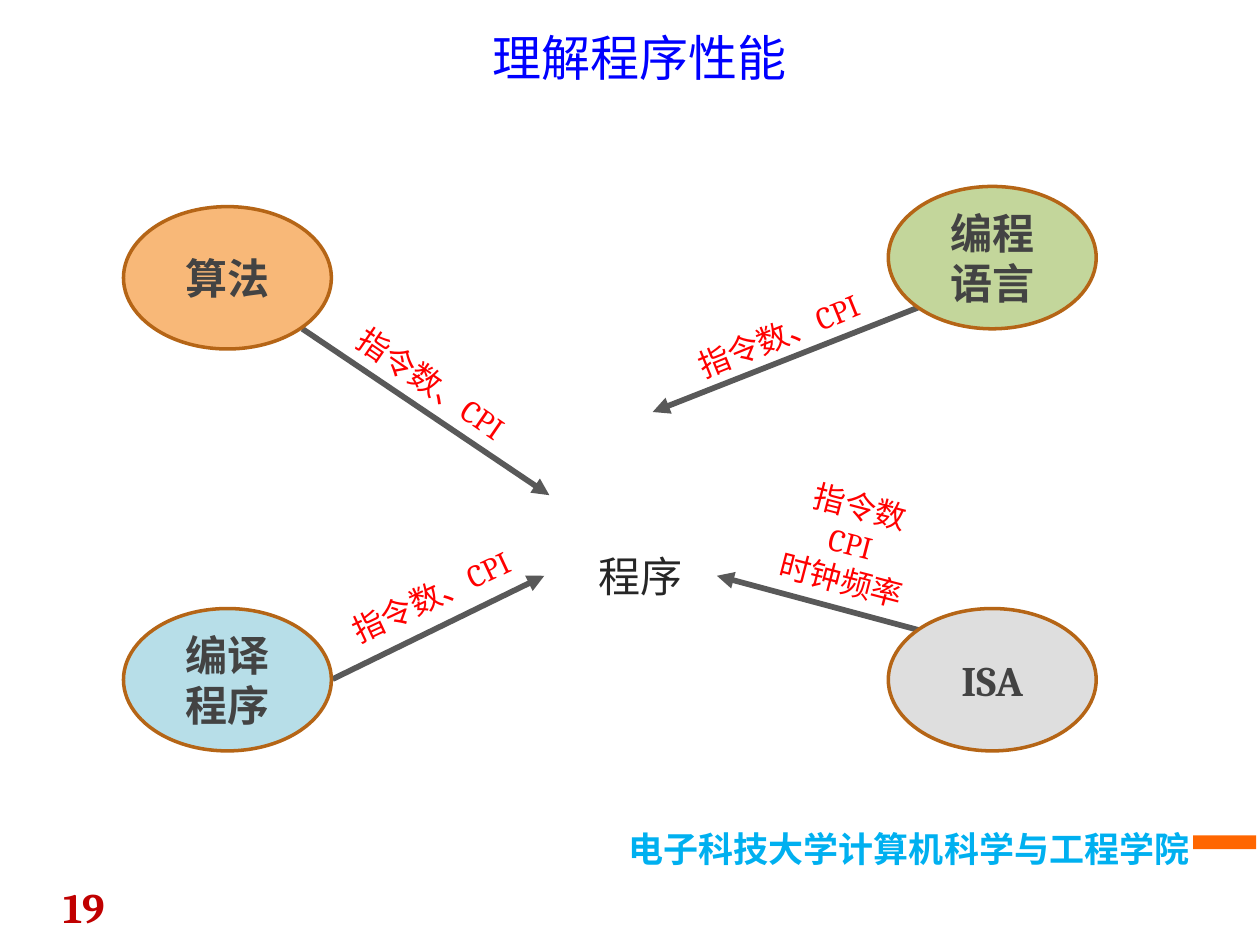
import pptx
import pptx.util
import pptx.dml.color
import pptx.enum.shapes
import pptx.enum.text
import pptx.oxml
import pptx.oxml.ns

Inches, Pt = pptx.util.Inches, pptx.util.Pt
RGBColor = pptx.dml.color.RGBColor
SHAPE = pptx.enum.shapes.MSO_SHAPE
STRAIGHT = pptx.enum.shapes.MSO_CONNECTOR.STRAIGHT
ALIGN = pptx.enum.text.PP_ALIGN
ANCHOR = pptx.enum.text.MSO_ANCHOR
qn = pptx.oxml.ns.qn

BLUE = RGBColor(0x00, 0x00, 0xFF)
SKY = RGBColor(0x00, 0xB0, 0xF0)
RED = RGBColor(0xFF, 0x00, 0x00)
DARK_RED = RGBColor(0xC0, 0x00, 0x00)
INK = RGBColor(0x26, 0x26, 0x26)
NODE_INK = RGBColor(0x43, 0x43, 0x43)
NODE_EDGE = RGBColor(0xB5, 0x65, 0x16)
ARROW = RGBColor(0x59, 0x59, 0x59)
BAR = RGBColor(0xFF, 0x66, 0x00)
ORANGE = RGBColor(0xF8, 0xB8, 0x78)
GREEN = RGBColor(0xC3, 0xD6, 0x9B)
AQUA = RGBColor(0xB7, 0xDE, 0xE8)
GREY = RGBColor(0xDE, 0xDE, 0xDE)
LATIN, CJK = "Cambria", "Noto Sans CJK SC"

# Content: factors around the program, left, top and fill
NODE_W, NODE_H = 1.65, 1.13
LEFT, RIGHT = 0.98, 7.05
NODES = [
    ("算法", LEFT, 1.64, ORANGE),
    ("编程语言", RIGHT, 1.48, GREEN),
    ("编译程序", LEFT, 4.83, AQUA),
    ("ISA", RIGHT, 4.83, GREY),
]
# Arrow start and end
ARROWS = [
    ((2.4, 2.61), (4.36, 3.93)),
    ((7.29, 2.44), (5.18, 3.27)),
    ((2.64, 5.39), (4.32, 4.57)),
    ((7.29, 5), (5.69, 4.57)),
]
# What each factor affects: lines, left, top, height, rotation
LABEL_W = 2.24
LABELS = [
    (["指令数、CPI"], 2.3, 2.84, 0.41, 34.5),
    (["指令数、CPI"], 5.06, 2.46, 0.41, 337.9),
    (["指令数、CPI"], 2.3, 4.53, 0.41, 334.8),
    (["指令数", "CPI", "时钟频率"], 5.63, 3.81, 1.02, 14.7),
]

prs = pptx.Presentation()
prs.slide_width, prs.slide_height = Inches(10), Inches(7.5)
s = prs.slides.add_slide(prs.slide_layouts[6])


def write(sp, lines, size, color, bold=False, font=LATIN, align=ALIGN.CENTER,
          anchor=ANCHOR.TOP, wrap=True):
    tf = sp.text_frame
    tf.word_wrap = wrap
    tf.vertical_anchor = anchor
    for i, line in enumerate(lines):
        p = tf.add_paragraph() if i else tf.paragraphs[0]
        p.alignment = align
        r = p.add_run()
        r.text = line
        r.font.size, r.font.bold, r.font.name = Pt(size), bold, font
        r.font.color.rgb = color
        ea = pptx.oxml.parse_xml(
            f'<a:ea {pptx.oxml.ns.nsdecls("a")} typeface="{CJK}"/>')
        r.font._element.find(qn("a:latin")).addnext(ea)


def text_box(x, y, w, h, lines, size, color, **fmt):
    sp = s.shapes.add_textbox(Inches(x), Inches(y), Inches(w), Inches(h))
    write(sp, lines, size, color, **fmt)
    return sp


def add_filled(kind, x, y, w, h, fill):
    sp = s.shapes.add_shape(kind, Inches(x), Inches(y), Inches(w), Inches(h))
    sp.shadow.inherit = False
    sp.fill.solid()
    sp.fill.fore_color.rgb = fill
    sp.line.fill.background()
    return sp


# Title, page number and footer
text_box(0.48, 0.08, 9.19, 0.75, ["理解程序性能"], 28, BLUE, font=CJK,
         anchor=ANCHOR.MIDDLE)
text_box(0.12, 6.95, 1.09, 0.44, ["19"], 24, DARK_RED, bold=True, wrap=False)
text_box(0.82, 6.52, 8.72, 0.44, ["电子科技大学计算机科学与工程学院"], 20, SKY,
         bold=True, font=CJK, align=ALIGN.RIGHT, wrap=False)
add_filled(SHAPE.RECTANGLE, 9.47, 6.63, 0.5, 0.11, BAR)

# Program in the centre
text_box(4.32, 4.32, 1.52, 0.51, ["程序"], 24, INK)

# Arrows
for start, end in ARROWS:
    c = s.shapes.add_connector(STRAIGHT, *(Inches(v) for v in start + end))
    c.line.color.rgb = ARROW
    c.line.width = Pt(3.25)
    ns = pptx.oxml.ns.nsdecls("a")
    c.line._get_or_add_ln().append(
        pptx.oxml.parse_xml(f'<a:tailEnd {ns} type="triangle"/>'))
    c._element.spPr.append(pptx.oxml.parse_xml(f"<a:effectLst {ns}/>"))

# Factor ellipses
for name, x, y, fill in NODES:
    sp = add_filled(SHAPE.OVAL, x, y, NODE_W, NODE_H, fill)
    sp.line.color.rgb = NODE_EDGE
    sp.line.width = Pt(2)
    write(sp, [name], 24, NODE_INK, bold=True, anchor=ANCHOR.MIDDLE)

# Rotated arrow labels
for lines, x, y, h, angle in LABELS:
    text_box(x, y, LABEL_W, h, lines, 18, RED).rotation = angle

prs.save("out.pptx")
